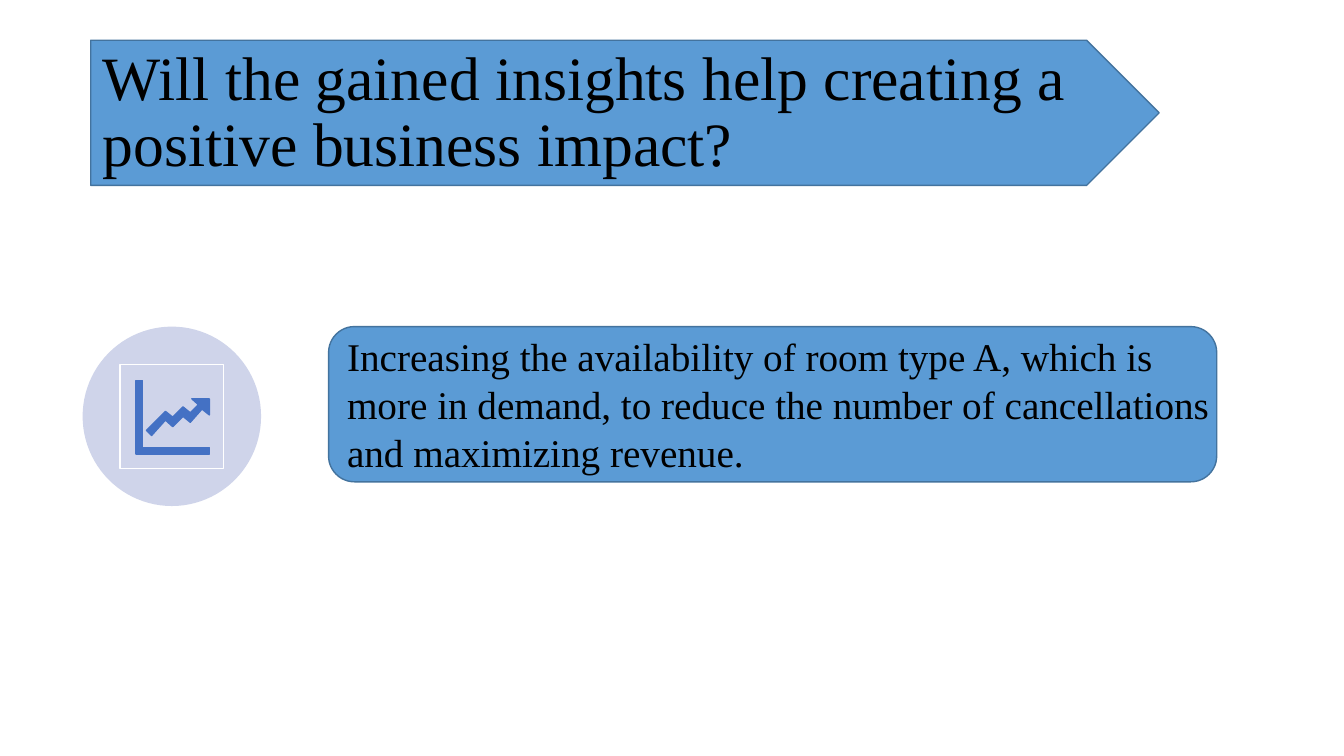
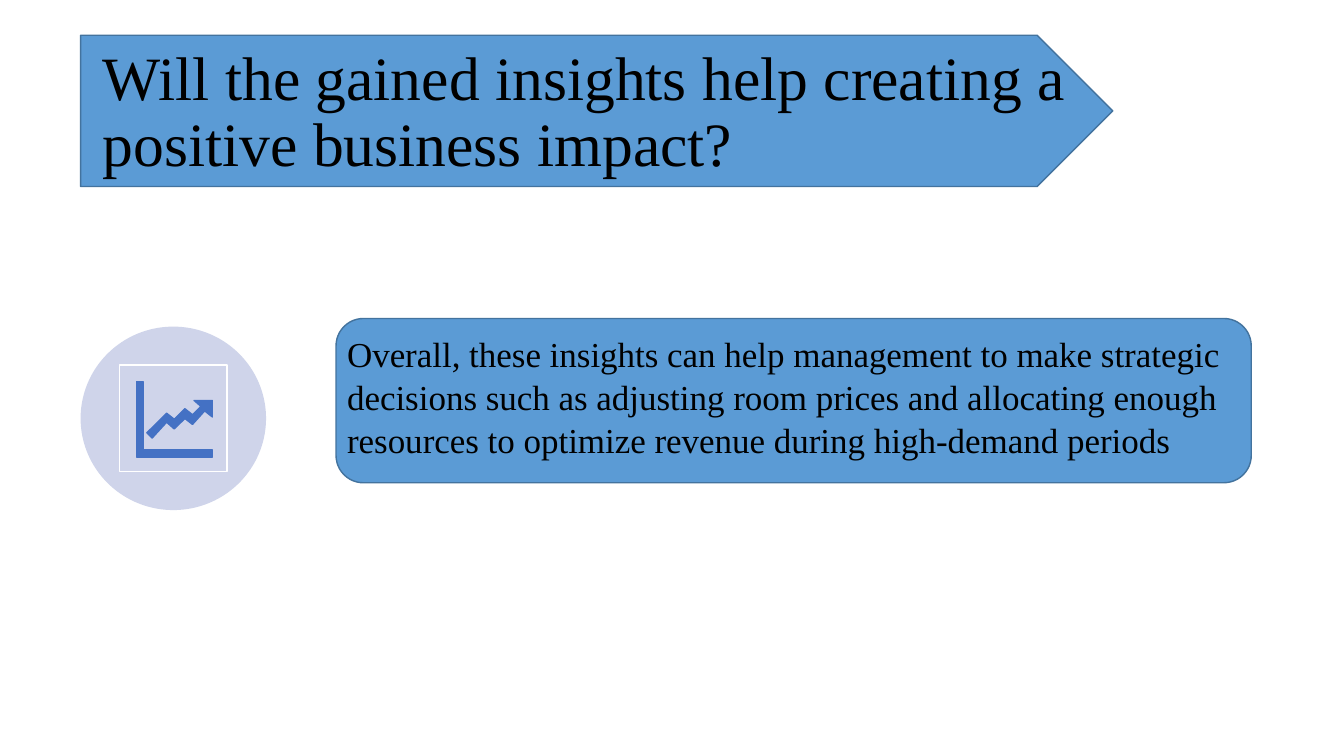
from pptx import Presentation
from pptx.dml.color import RGBColor
from pptx.enum.shapes import MSO_SHAPE
from pptx.enum.text import MSO_ANCHOR, MSO_AUTO_SIZE, PP_ALIGN
from pptx.util import Inches, Pt

WIDTH, HEIGHT = Inches(13.33), Inches(7.5)
FONT = "Times New Roman"
COLORS = {
    "panel": "5B9BD5",
    "outline": "43739E",
    "disc": "CFD4EA",
    "glyph": "4471C4",
    "frame": "FFFFFF",
    "text": "000000",
}

QUESTION = "Will the gained insights help creating a positive business impact?"
TITLE_BOX = (6.9, 5.33, 86.25, 19.33)

# Boxes are left, top, width, height in percent of the slide
ANSWERS = [
    {
        "answer": "Increasing the availability of room type A, which is more in demand, "
                  "to reduce the number of cancellations and maximizing revenue.",
        "size": 28,
        "banner": (6.75, 5.33, 79.5, 19.2),
        "panel": (24.45, 43.2, 66.08, 20.53),
        "answer_box": (25, 43.2, 66.6, 20.53),
        "icon": (6.15, 43.2, 13.28, 23.73),
    },
    {
        "answer": "Overall, these insights can help management to make strategic "
                  "decisions such as adjusting room prices and allocating enough "
                  "resources to optimize revenue during high-demand periods",
        "size": 25,
        "banner": (6, 4.67, 76.8, 20),
        "panel": (25, 42.13, 68.1, 21.73),
        "answer_box": (25, 43.2, 66.6, 18.13),
        "icon": (6, 43.2, 13.8, 24.27),
    },
]

# Glyph outlines in shares of the glyph's box
AXES = [(0, 0), (0, 1), (1, 1), (1, 0.91), (0.09, 0.91), (0.09, 0)]
TREND_ARROW = [
    (1, 0.25), (0.76, 0.25), (0.85, 0.33), (0.74, 0.44), (0.64, 0.36),
    (0.5, 0.5), (0.4, 0.42), (0.14, 0.68), (0.21, 0.75), (0.4, 0.54),
    (0.5, 0.63), (0.64, 0.49), (0.74, 0.57), (0.9, 0.39), (1, 0.47),
]


def on_slide(percent_box):
    return within((0, 0, WIDTH, HEIGHT), *(share / 100 for share in percent_box))


def within(box, x, y, w, h):
    left, top, width, height = box
    return (round(left + x * width), round(top + y * height),
            round(w * width), round(h * height))


def paint(shape, fill=None, line=None, weight=1):
    shape.shadow.inherit = False
    if fill:
        shape.fill.solid()
        shape.fill.fore_color.rgb = RGBColor.from_string(COLORS[fill])
    else:
        shape.fill.background()
    if line:
        shape.line.color.rgb = RGBColor.from_string(COLORS[line])
        shape.line.width = Pt(weight)
    else:
        shape.line.fill.background()


def write(frame, text, size, spacing, anchor):
    frame.word_wrap = True
    frame.auto_size = MSO_AUTO_SIZE.NONE
    frame.vertical_anchor = anchor
    frame.text = text
    paragraph = frame.paragraphs[0]
    paragraph.alignment = PP_ALIGN.LEFT
    paragraph.line_spacing = spacing
    paragraph.font.name = FONT
    paragraph.font.size = Pt(size)
    paragraph.font.color.rgb = RGBColor.from_string(COLORS["text"])
    return paragraph


def add_heading(slide, banner_box):
    banner = slide.shapes.add_shape(MSO_SHAPE.PENTAGON, *banner_box)
    paint(banner, "panel", "outline")
    title = slide.shapes.title
    title.left, title.top, title.width, title.height = on_slide(TITLE_BOX)
    write(title.text_frame, QUESTION, 44, 0.9, MSO_ANCHOR.MIDDLE)
    # Bring the title in front of its banner
    banner._element.addnext(title._element)


def add_answer(slide, panel_box, answer_box, text, size):
    panel = slide.shapes.add_shape(MSO_SHAPE.ROUNDED_RECTANGLE, *panel_box)
    paint(panel, "panel", "outline")
    answer = slide.shapes.add_textbox(*answer_box)
    answer.text_frame.margin_left = Inches(0.11)
    paragraph = write(answer.text_frame, text, size, 1.02, MSO_ANCHOR.TOP)
    paragraph.space_before = Pt(0.5)


def add_growth_icon(slide, box):
    icon = slide.shapes.add_group_shape().shapes
    paint(icon.add_shape(MSO_SHAPE.OVAL, *box), "disc")

    left, top, width, height = within(box, 0.3, 0.3, 0.41, 0.41)
    for outline in (AXES, TREND_ARROW):
        points = [(round(left + x * width), round(top + y * height)) for x, y in outline]
        builder = icon.build_freeform(*points[0])
        builder.add_line_segments(points[1:], close=True)
        paint(builder.convert_to_shape(), "glyph", "glyph", 0.93)

    frame = icon.add_shape(MSO_SHAPE.RECTANGLE, *within(box, 0.21, 0.21, 0.58, 0.58))
    paint(frame, line="frame")


def add_insight_slide(deck, content):
    slide = deck.slides.add_slide(deck.slide_layouts[5])
    add_heading(slide, on_slide(content["banner"]))
    add_answer(slide, on_slide(content["panel"]), on_slide(content["answer_box"]),
               content["answer"], content["size"])
    add_growth_icon(slide, on_slide(content["icon"]))


def main():
    deck = Presentation()
    deck.slide_width, deck.slide_height = WIDTH, HEIGHT
    for content in ANSWERS:
        add_insight_slide(deck, content)
    deck.save("out.pptx")


if __name__ == "__main__":
    main()
